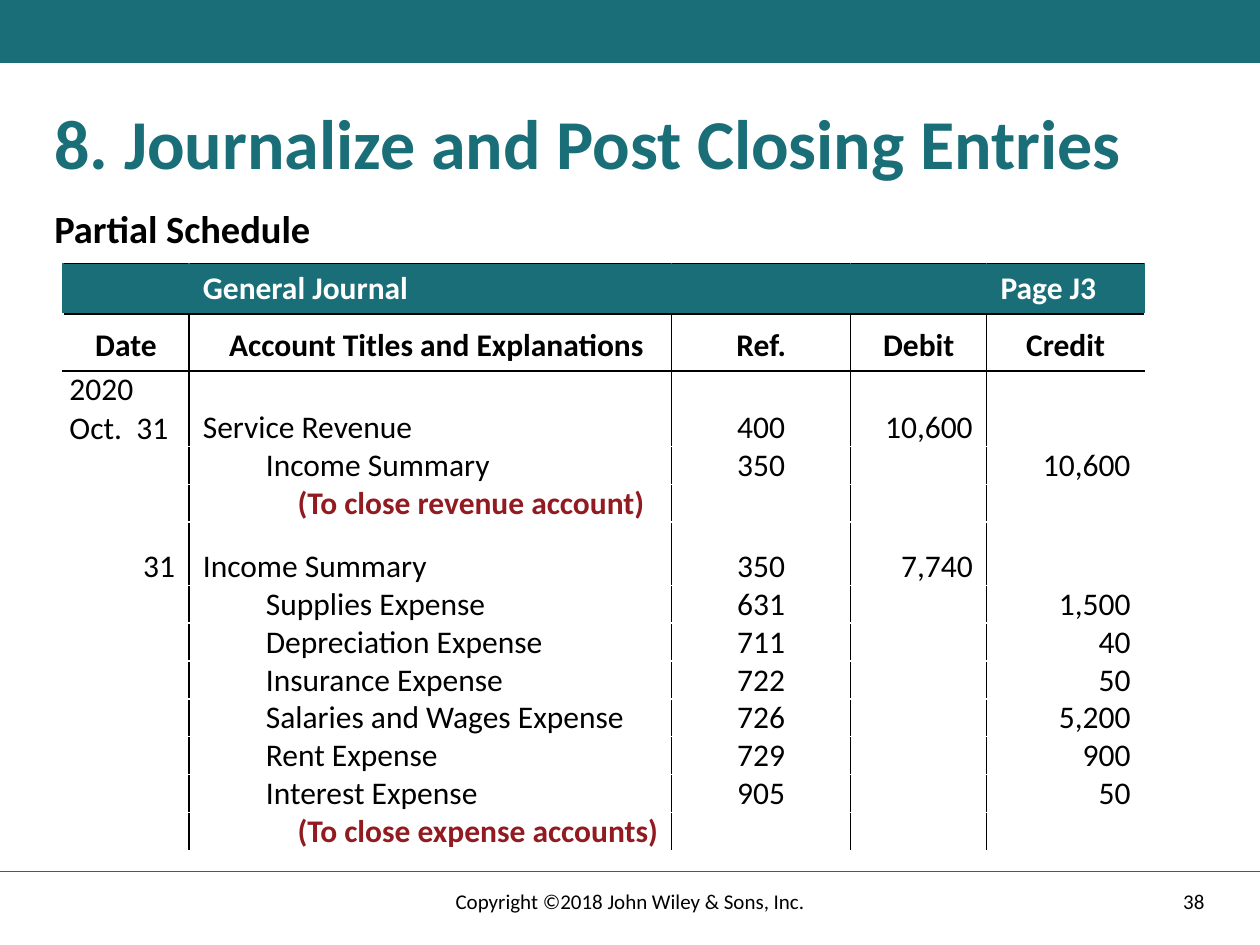
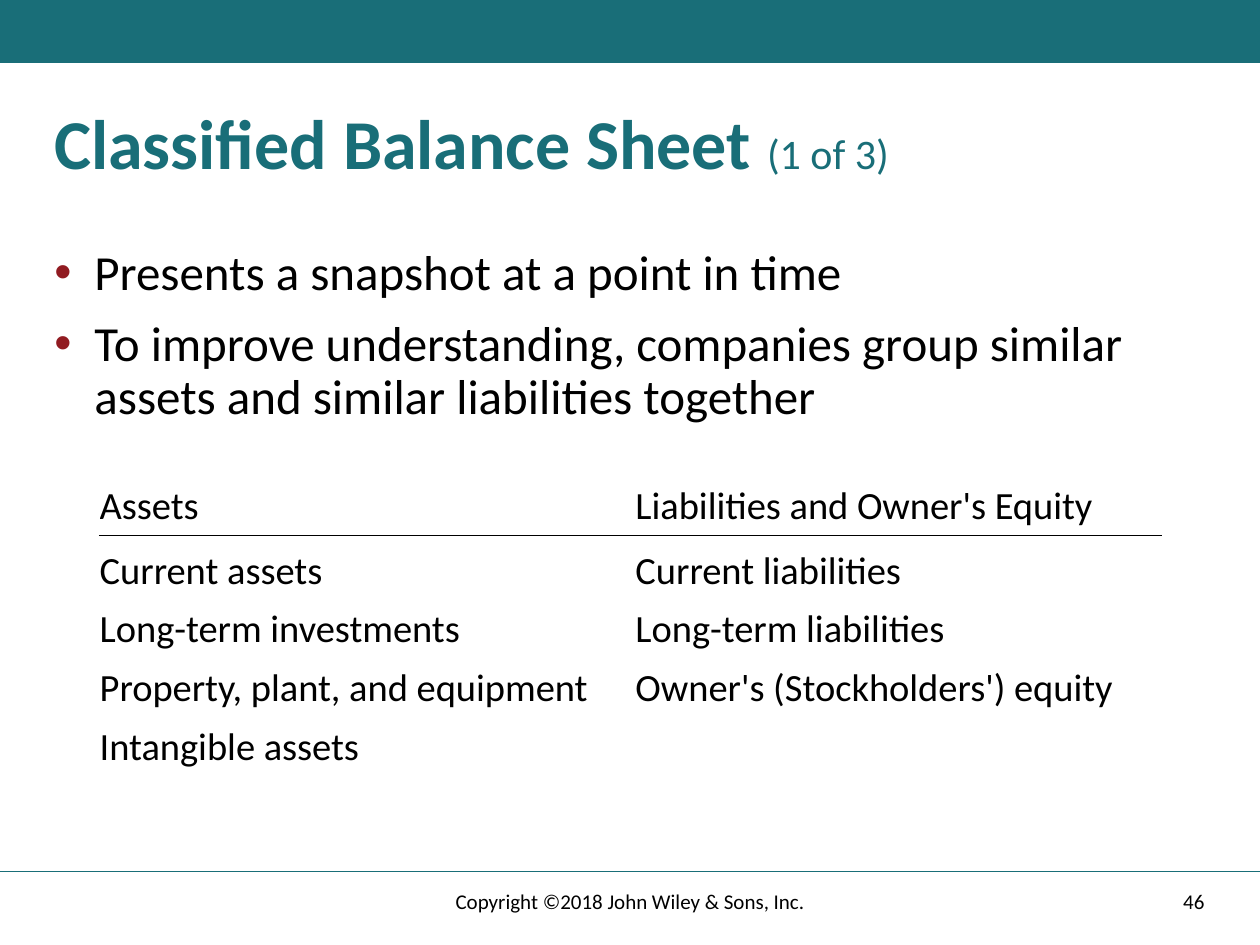
from lxml.etree import SubElement
from pptx import Presentation
from pptx.dml.color import RGBColor
from pptx.enum.shapes import MSO_CONNECTOR as Connector, MSO_SHAPE as Shape
from pptx.enum.text import MSO_ANCHOR as Anchor, MSO_AUTO_SIZE as AutoSize, PP_ALIGN as Align
from pptx.oxml.ns import qn
from pptx.util import Cm, Pt

FONT = "Calibri"
COLORS = {
    "teal": "196E78",
    "crimson": "911B21",
    "black": "000000",
    "white": "FFFFFF",
    "header_text": "FFFEFE",
}
PLAIN_TABLE_STYLE = "{2D5ABB26-0587-4C30-8999-92F81FD0307C}"
COPYRIGHT = "Copyright ©2018 John Wiley & Sons, Inc."

JOURNAL_COLUMNS = [2.54, 9.73, 3.61, 2.74, 3.18]
JOURNAL_ROWS = [0.97, 1.09, 1.47, 0.74, 0.58, 1.22] + [0.74] * 7
JOURNAL_ALIGNMENTS = [Align.LEFT, Align.LEFT, Align.CENTER, Align.RIGHT, Align.RIGHT]
JOURNAL_SIDE_MARGINS = [(0.13, 0.28), (0.28, 0.03), (0.03, 0.03), (0.03, 0.28), (0.03, 0.28)]
JOURNAL_BANNER = ["", "General Journal", "", "", "Page J3"]
JOURNAL_HEADINGS = ["Date", "Account Titles and Explanations", "Ref.", "Debit", "Credit"]
ACCOUNT_INDENTS = [0, 1.27, 1.91]
JOURNAL_ENTRIES = [
    (0, "2020\nOct.\t31", "Service Revenue", "400", "10,600", ""),
    (1, "", "Income Summary", "350", "", "10,600"),
    (2, "", "(To close revenue account)", "", "", ""),
    (0, "31", "Income Summary", "350", "7,740", ""),
    (1, "", "Supplies Expense", "631", "", "1,500"),
    (1, "", "Depreciation Expense", "711", "", "40"),
    (1, "", "Insurance Expense", "722", "", "50"),
    (1, "", "Salaries and Wages Expense", "726", "", "5,200"),
    (1, "", "Rent Expense", "729", "", "900"),
    (1, "", "Interest Expense", "905", "", "50"),
    (2, "", "(To close expense accounts)", "", "", ""),
]
SECOND_ENTRY_ROW = 5

BALANCE_SHEET = [
    ("Assets", "Liabilities and Owner's Equity"),
    ("Current assets", "Current liabilities"),
    ("Long-term investments", "Long-term liabilities"),
    ("Property, plant, and equipment", "Owner's (Stockholders') equity"),
    ("Intangible assets", ""),
]


def color(name):
    return RGBColor.from_string(COLORS[name])


def format_run(run, size, color_name="black", bold=False):
    run.font.name = FONT
    run.font.size = Pt(size)
    run.font.bold = bold
    run.font.color.rgb = color(color_name)


def format_paragraph(paragraph, size, color_name="black", bold=False, alignment=Align.LEFT):
    paragraph.alignment = alignment
    for run in paragraph.runs:
        format_run(run, size, color_name, bold)


def place(shape, left, top, width, height):
    shape.left, shape.top = Cm(left), Cm(top)
    shape.width, shape.height = Cm(width), Cm(height)


def set_indent(paragraph, left, hanging=0):
    properties = paragraph._p.get_or_add_pPr()
    properties.set("marL", str(Cm(left)))
    properties.set("indent", str(-Cm(hanging)))
    return properties


def add_bullet(paragraph):
    properties = set_indent(paragraph, 0.81, 0.81)
    bullet_color = SubElement(properties, qn("a:buClr"))
    SubElement(bullet_color, qn("a:srgbClr"), val=COLORS["crimson"])
    SubElement(properties, qn("a:buFont"), typeface="Arial")
    SubElement(properties, qn("a:buChar"), char="•")


def remove_bullet(paragraph):
    SubElement(set_indent(paragraph, 0), qn("a:buNone"))


def add_tab_stop(paragraph, position):
    tabs = SubElement(paragraph._p.get_or_add_pPr(), qn("a:tabLst"))
    SubElement(tabs, qn("a:tab"), pos=str(Cm(position)), algn="l")


def add_footer_text(slide, text, left, width, alignment):
    box = slide.shapes.add_textbox(Cm(left), Cm(17.65), Cm(width), Cm(1.02))
    frame = box.text_frame
    frame.word_wrap = True
    frame.vertical_anchor = Anchor.MIDDLE
    frame.text = text
    format_paragraph(frame.paragraphs[0], 12, alignment=alignment)


def add_frame(slide, page_number):
    band = slide.shapes.add_shape(Shape.RECTANGLE, 0, 0, Cm(25.4), Cm(1.27))
    band.shadow.inherit = False
    band.fill.solid()
    band.fill.fore_color.rgb = color("teal")
    band.line.fill.background()
    rule = slide.shapes.add_connector(Connector.STRAIGHT, 0, Cm(17.57), Cm(25.4), Cm(17.57))
    rule.line.color.rgb = color("teal")
    rule.line.width = Pt(1)
    SubElement(rule._element.spPr, qn("a:effectLst"))
    add_footer_text(slide, page_number, 17.93, 6.6, Align.RIGHT)
    add_footer_text(slide, COPYRIGHT, 8.41, 8.59, Align.CENTER)


def set_title(slide, text, part=""):
    title = slide.shapes.title
    place(title, 0.84, 2.11, 23.7, 1.68)
    frame = title.text_frame
    frame.auto_size = AutoSize.NONE
    frame.vertical_anchor = Anchor.MIDDLE
    frame.text = text
    paragraph = frame.paragraphs[0]
    paragraph.line_spacing = 0.9
    format_paragraph(paragraph, 40, "teal", True)
    if part:
        run = paragraph.add_run()
        run.text = part
        format_run(run, 24, "teal")


def set_body(slide, bounds, lines, size, bold=False, bulleted=False):
    body = slide.placeholders[1]
    place(body, *bounds)
    frame = body.text_frame
    frame.auto_size = AutoSize.NONE
    frame.text = "\n".join(lines)
    for number, paragraph in enumerate(frame.paragraphs):
        paragraph.line_spacing = 0.9
        paragraph.space_before = Pt(10 if number else 0)
        (add_bullet if bulleted else remove_bullet)(paragraph)
        format_paragraph(paragraph, size, bold=bold)


def add_plain_table(slide, left, top, column_widths, row_heights):
    table = slide.shapes.add_table(
        len(row_heights), len(column_widths), Cm(left), Cm(top),
        Cm(sum(column_widths)), Cm(sum(row_heights))).table
    table.first_row = table.horz_banding = False
    table._tbl.tblPr.find(qn("a:tableStyleId")).text = PLAIN_TABLE_STYLE
    for column, width in zip(table.columns, column_widths):
        column.width = Cm(width)
    for row, height in zip(table.rows, row_heights):
        row.height = Cm(height)
    return table


def set_borders(cell, left, right, top, bottom):
    properties = cell._tc.get_or_add_tcPr()
    for side, name in zip("LRTB", (left, right, top, bottom)):
        line = SubElement(properties, qn(f"a:ln{side}"), w=str(Pt(1)))
        fill = SubElement(line, qn("a:solidFill"))
        SubElement(fill, qn("a:srgbClr"), val=COLORS[name])


def fill_cell(cell, color_name=None):
    if color_name:
        cell.fill.solid()
        cell.fill.fore_color.rgb = color(color_name)
    else:
        cell.fill.background()


def write_cell(cell, text, margins, size, color_name="black", bold=False,
               alignment=Align.LEFT, anchor=Anchor.BOTTOM):
    left, top, right, bottom = map(Cm, margins)
    cell.margin_left, cell.margin_right = left, right
    cell.margin_top, cell.margin_bottom = top, bottom
    cell.vertical_anchor = anchor
    cell.text = text
    for paragraph in cell.text_frame.paragraphs:
        format_paragraph(paragraph, size, color_name, bold, alignment)


def write_journal_entry(table, row, level, texts):
    top = 0.51 if row == SECOND_ENTRY_ROW else 0
    for column, text in enumerate(texts):
        left, right = JOURNAL_SIDE_MARGINS[column]
        explanation = level == 2 and column == 1
        alignment = Align.RIGHT if text == "31" else JOURNAL_ALIGNMENTS[column]
        cell = table.cell(row, column)
        write_cell(cell, text, (left, top, right, 0), 18,
                   "crimson" if explanation else "black", explanation, alignment)
        if column == 1:
            set_indent(cell.text_frame.paragraphs[0], ACCOUNT_INDENTS[level])
        if "\t" in text:
            add_tab_stop(cell.text_frame.paragraphs[-1], 1.35)


def add_journal(slide):
    table = add_plain_table(slide, 1.27, 5.31, JOURNAL_COLUMNS, JOURNAL_ROWS)
    last = len(JOURNAL_COLUMNS) - 1
    for column, (banner, heading) in enumerate(zip(JOURNAL_BANNER, JOURNAL_HEADINGS)):
        write_cell(table.cell(0, column), banner, (0.28, 0.13, 0.28, 0.13), 18,
                   "header_text", True, anchor=Anchor.TOP)
        heading_left = 0.28 if column == 1 else 0.03
        write_cell(table.cell(1, column), heading, (heading_left, 0.25, 0.03, 0.13), 18,
                   bold=True, alignment=Align.CENTER)
    for row, (level, *texts) in enumerate(JOURNAL_ENTRIES, 2):
        write_journal_entry(table, row, level, texts)
    for row in range(len(JOURNAL_ROWS)):
        for column in range(last + 1):
            cell = table.cell(row, column)
            left = "white" if column == 0 else "black"
            right = "white" if column == last else "black"
            if row == 0:
                left = right = "teal"
            set_borders(cell, left, right,
                        "black" if row <= 2 else "white",
                        "black" if row <= 1 else "white")
            fill_cell(cell, None if row else "teal")


def add_balance_sheet(slide):
    table = add_plain_table(slide, 2.01, 9.73, [10.8, 10.59], [0.79] + [0.86] * 4)
    for row, texts in enumerate(BALANCE_SHEET):
        margins = (0, 0.25, 0, 0) if row else (0, 0, 0, 0.13)
        for column, text in enumerate(texts):
            cell = table.cell(row, column)
            write_cell(cell, text, margins, 22)
            set_borders(cell, "white", "white",
                        "black" if row == 1 else "white",
                        "black" if row == 0 else "white")
            fill_cell(cell)


def add_slide(presentation, page_number):
    slide = presentation.slides.add_slide(presentation.slide_layouts[1])
    add_frame(slide, page_number)
    return slide


def main():
    presentation = Presentation()
    presentation.slide_width, presentation.slide_height = Cm(25.4), Cm(19.05)

    journal = add_slide(presentation, "38")
    set_title(journal, "8. Journalize and Post Closing Entries")
    set_body(journal, (0.84, 4.11, 6.15, 0.97), ["Partial Schedule"], 22, bold=True)
    add_journal(journal)

    balance = add_slide(presentation, "46")
    set_title(balance, "Classified Balance Sheet ", "(1 of 3)")
    set_body(balance, (0.84, 4.88, 23.7, 3.81), [
        "Presents a snapshot at a point in time",
        "To improve understanding, companies group similar assets and similar liabilities together",
    ], 28, bulleted=True)
    add_balance_sheet(balance)

    presentation.save("out.pptx")


if __name__ == "__main__":
    main()
